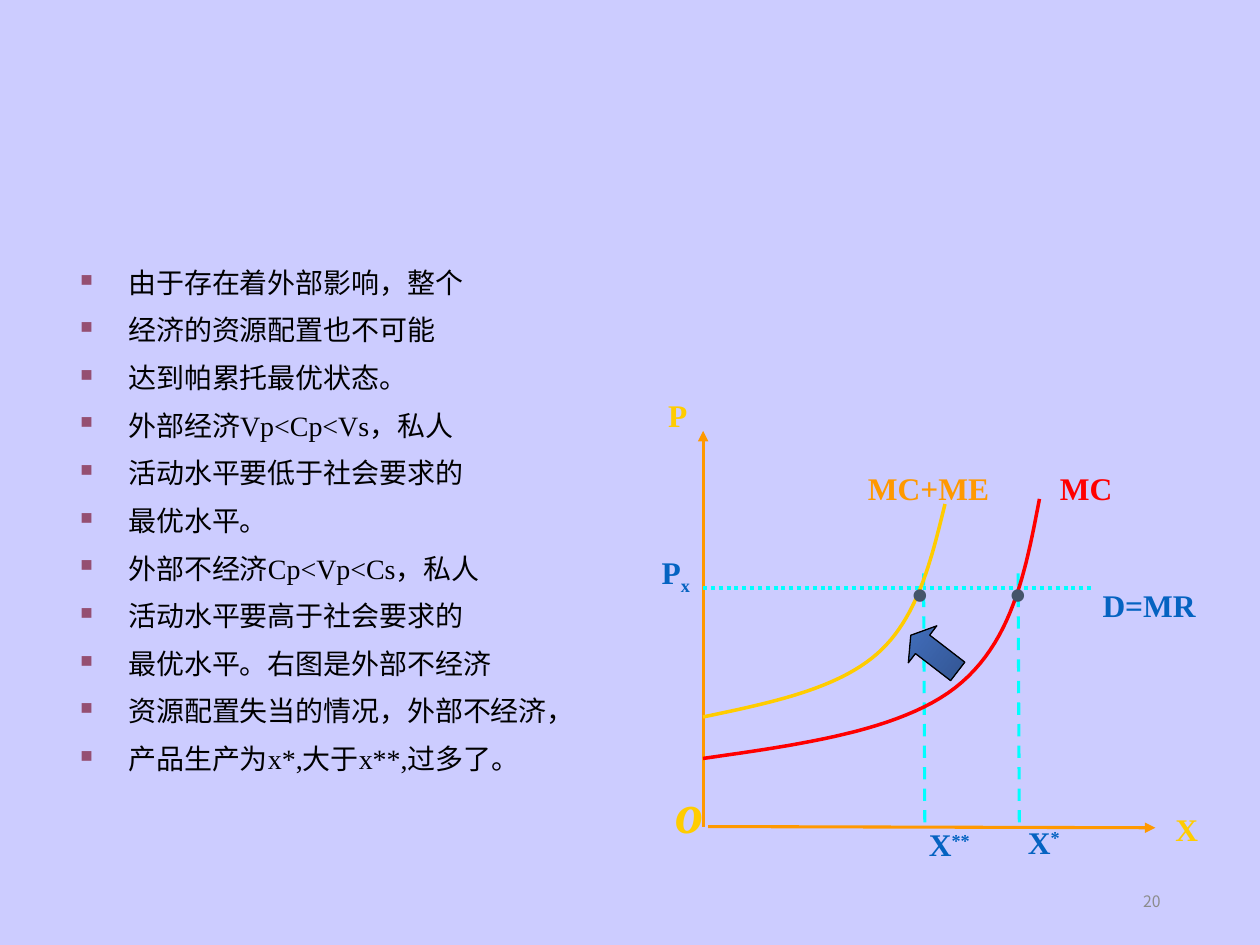
import pptx
import pptx.util
import pptx.dml.color
import pptx.enum.dml
import pptx.enum.shapes
import pptx.enum.text
import pptx.oxml.ns
import lxml.etree

Inches, Pt = pptx.util.Inches, pptx.util.Pt
qn = pptx.oxml.ns.qn
color = pptx.dml.color.RGBColor.from_string
Align = pptx.enum.text.PP_ALIGN
Dash = pptx.enum.dml.MSO_LINE
CJK, LATIN = "Noto Sans CJK SC", "Times New Roman"
ORANGE, YELLOW, CYAN, BLUE = "FF9900", "FFCC00", "00FFFF", "0563C1"

deck = pptx.Presentation()
deck.slide_width, deck.slide_height = Inches(10), Inches(7.5)
page = deck.slides.add_slide(deck.slide_layouts[6])
page.background.fill.solid()
page.background.fill.fore_color.rgb = color("CCCCFF")


def add_span(para, text, size, hue, font=LATIN, **styles):
    span = para.add_run()
    span.text = text
    span.font.color.rgb = color(hue)
    for name, value in {"name": font, "size": Pt(size), **styles}.items():
        setattr(span.font, name, value)
    east = lxml.etree.SubElement(span.font._element, qn("a:ea"))
    east.set("typeface", CJK)
    return span


def add_line(start, end, hue, width, dash=None, arrow=False):
    line = page.shapes.add_connector(
        pptx.enum.shapes.MSO_CONNECTOR.STRAIGHT, *map(Inches, start + end))
    line.line.color.rgb = color(hue)
    line.line.width = Pt(width)
    if dash:
        line.line.dash_style = dash
    if arrow:
        lxml.etree.SubElement(line.line._ln, qn("a:tailEnd")).set("type", "triangle")
    lxml.etree.SubElement(line._element.spPr, qn("a:effectLst"))


# Page number
box = page.shapes.add_textbox(*map(Inches, (7.06, 6.95, 2.25, 0.4)))
box.text_frame.word_wrap = True
box.text_frame.vertical_anchor = pptx.enum.text.MSO_ANCHOR.MIDDLE
para = box.text_frame.paragraphs[0]
para.alignment = Align.RIGHT
add_span(para, "20", 9, "8C8C8C", CJK)

# Bulleted text
points = [
    "由于存在着外部影响，整个",
    "经济的资源配置也不可能",
    "达到帕累托最优状态。",
    "外部经济Vp<Cp<Vs，私人",
    "活动水平要低于社会要求的",
    "最优水平。",
    "外部不经济Cp<Vp<Cs，私人",
    "活动水平要高于社会要求的",
    "最优水平。右图是外部不经济",
    "资源配置失当的情况，外部不经济，",
    "产品生产为x*,大于x**,过多了。",
]
box = page.shapes.add_textbox(*map(Inches, (0.54, 1.99, 8.58, 5.08)))
box.text_frame.word_wrap = True
for index, point in enumerate(points):
    para = box.text_frame.add_paragraph() if index else box.text_frame.paragraphs[0]
    para.line_spacing, para.space_before = Pt(24), Pt(3.2)
    layout = para._p.get_or_add_pPr()
    layout.set("marL", str(Inches(0.38)))
    layout.set("indent", str(Inches(-0.38)))
    bullet_color = lxml.etree.SubElement(layout, qn("a:buClr"))
    lxml.etree.SubElement(bullet_color, qn("a:srgbClr")).set("val", "954F72")
    lxml.etree.SubElement(layout, qn("a:buSzPct")).set("val", "60000")
    lxml.etree.SubElement(layout, qn("a:buChar")).set("char", "■")
    add_span(para, point, 16, "000000")

# Axes, price line and output lines
add_line((5.62, 6.56), (9.17, 6.57), ORANGE, 1.75, arrow=True)
add_line((5.58, 6.56), (5.58, 3.42), ORANGE, 1.75, arrow=True)
add_line((5.58, 4.67), (8.67, 4.67), CYAN, 2.25, Dash.ROUND_DOT)
for x in (7.33, 8.08):
    add_line((x, 4.55), (x + 0.01, 6.54), CYAN, 1.75, Dash.DASH)

# Cost curves, each made of two cubic arcs
curves = [
    ("FF0000", [(5.58, 6.02), (6.36, 5.91), (7.14, 5.8), (7.58, 5.46),
                (8.03, 5.11), (8.14, 4.54), (8.25, 3.96)]),
    (YELLOW, [(5.58, 5.69), (6.11, 5.58), (6.64, 5.47), (6.96, 5.19),
              (7.28, 4.91), (7.39, 4.45), (7.5, 4)]),
]
steps = 24
for hue, knots in curves:
    dots = []
    for first in (0, 3):
        for step in range(1, steps + 1):
            t = step / steps
            weights = ((1 - t) ** 3, 3 * t * (1 - t) ** 2, 3 * t * t * (1 - t), t ** 3)
            arc = knots[first:first + 4]
            dots.append([Inches(sum(w * knot[axis] for w, knot in zip(weights, arc)))
                         for axis in (0, 1)])
    builder = page.shapes.build_freeform(*map(Inches, knots[0]))
    builder.add_line_segments(dots, close=False)
    curve = builder.convert_to_shape()
    curve.shadow.inherit = False
    curve.fill.background()
    curve.line.color.rgb = color(hue)
    curve.line.width = Pt(2)

# Labels: place, text, raised or lowered text, shift, size, colour, italic, wrap
labels = [
    ((5.08, 5.96, 0.54, 0.94), "o", "", 0, 32, YELLOW, True, False),
    ((9.02, 6.31, 0.56, 0.73), "X", "", 0, 18, YELLOW, False, False),
    ((5, 3.02, 0.52, 0.73), "P", "", 0, 18, YELLOW, False, False),
    ((8.25, 4.53, 1.5, 0.73), "D=MR", "", 0, 18, BLUE, False, True),
    ((4.83, 4.25, 0.83, 0.73), "P", "x", -25, 18, BLUE, False, True),
    ((7.75, 6.41, 0.83, 0.73), "X", "*", 30, 18, BLUE, False, True),
    ((7, 6.43, 0.83, 0.73), "X", "**", 30, 18, BLUE, False, True),
    ((7.75, 3.6, 1.5, 0.73), "MC", "", 0, 18, "FF0000", False, True),
    ((6.25, 3.6, 2, 0.73), "MC+ME", "", 0, 18, ORANGE, False, True),
    ((6.92, 4.03, 0.47, 1.2), "·", "", 0, 44, "44546A", False, True),
    ((7.7, 4.03, 0.47, 1.2), "·", "", 0, 44, "44546A", False, True),
]
for place, text, script, shift, size, hue, italic, wrap in labels:
    box = page.shapes.add_textbox(*map(Inches, place))
    frame = {"margin_left": Inches(0.28), "margin_top": 0,
             "margin_right": Inches(0.04), "margin_bottom": Inches(0.17),
             "word_wrap": wrap,
             "auto_size": pptx.enum.text.MSO_AUTO_SIZE.SHAPE_TO_FIT_TEXT}
    for name, value in frame.items():
        setattr(box.text_frame, name, value)
    para = box.text_frame.paragraphs[0]
    para.alignment, para.line_spacing = Align.CENTER, 1.4
    add_span(para, text, size, hue, bold=True, italic=italic)
    if script:
        span = add_span(para, script, size, hue, bold=True)
        span.font._element.set("baseline", str(shift * 1000))

# Arrow between the curves
arrow = page.shapes.add_shape(pptx.enum.shapes.MSO_SHAPE.UP_ARROW,
                              *map(Inches, (7.23, 4.95, 0.37, 0.47)))
arrow.shadow.inherit = False
arrow.rotation = 307.6
arrow.adjustments[0], arrow.adjustments[1] = 0.5, 0.32
arrow.fill.gradient()
arrow.fill.gradient_angle = 270
for stop, position, hue in zip(arrow.fill.gradient_stops, (0, 1), ("4472C4", "31528C")):
    stop.position, stop.color.rgb = position, color(hue)
arrow.line.color.rgb = color("000000")
arrow.line.width = Pt(0.75)

deck.save("out.pptx")
